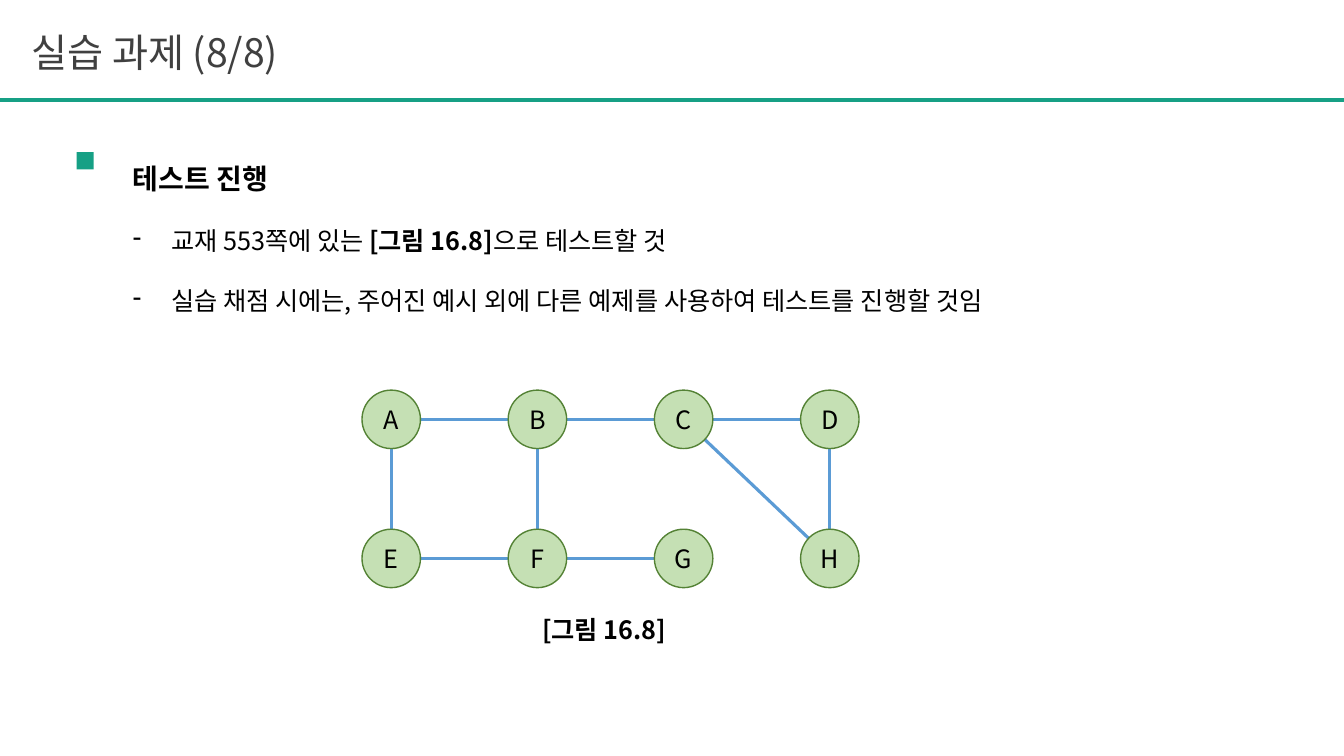
import math
from dataclasses import dataclass

from lxml import etree
from pptx import Presentation
from pptx import util as u
from pptx.dml.color import RGBColor
from pptx.enum import shapes, text
from pptx.oxml.ns import qn


@dataclass(frozen=True)
class Theme:
    """Colours, font and type sizes of the slide."""
    accent: str = "16A085"
    title: str = "404040"
    ink: str = "000000"
    node: str = "C5E0B4"
    node_rim: str = "548235"
    edge: str = "5B9BD5"
    font: str = "Noto Sans CJK KR"
    title_size: int = 28
    heading_size: int = 20
    body_size: int = 18


THEME = Theme()
WIDTH, HEIGHT = 13.33, 7.5


def add_run(paragraph, words, size=THEME.body_size, bold=False, color=THEME.ink):
    """Append one formatted run, with the font set for Latin and Korean."""
    run = paragraph.add_run()
    run.text = words
    run.font.size, run.font.bold, run.font.name = u.Pt(size), bold, THEME.font
    run.font.color.rgb = RGBColor.from_string(color)
    east_asian = etree.SubElement(run.font._element, qn("a:ea"))
    east_asian.set("typeface", THEME.font)


def add_line(start, end, color, weight):
    """Draw a shadowless straight line between two points in inches."""
    line = slide.shapes.add_connector(
        shapes.MSO_CONNECTOR.STRAIGHT, *(u.Inches(v) for v in (*start, *end)))
    line.line.color.rgb = RGBColor.from_string(color)
    line.line.width = u.Pt(weight)
    etree.SubElement(line._element.spPr, qn("a:effectLst"))


deck = Presentation()
deck.slide_width, deck.slide_height = u.Inches(WIDTH), u.Inches(HEIGHT)
slide = deck.slides.add_slide(deck.slide_layouts[5])

# Title and rule
title = slide.shapes.title
title.left, title.top = u.Inches(0.21), u.Inches(0.23)
title.width, title.height = u.Inches(10.15), u.Inches(0.57)
title.text_frame.vertical_anchor = text.MSO_ANCHOR.MIDDLE
heading = title.text_frame.paragraphs[0]
heading.alignment = text.PP_ALIGN.LEFT
add_run(heading, "실습 과제 (8/8)", THEME.title_size, color=THEME.title)
add_line((0, 0.99), (WIDTH, 0.99), THEME.accent, 3)

# Instructions
marker = slide.shapes.add_shape(
    shapes.MSO_SHAPE.RECTANGLE, *(u.Inches(v) for v in (0.76, 1.51, 0.17, 0.17)))
marker.shadow.inherit = False
marker.fill.solid()
marker.fill.fore_color.rgb = RGBColor.from_string(THEME.accent)
marker.line.fill.background()

instructions = slide.shapes.add_textbox(
    *(u.Inches(v) for v in (1.22, 1.21, 11.9, 1.99))).text_frame
instructions.word_wrap = True
topic = instructions.paragraphs[0]
topic.alignment = text.PP_ALIGN.JUSTIFY
topic.line_spacing = u.Pt(49)
add_run(topic, "테스트 진행", THEME.heading_size, bold=True)

tasks = [
    [("교재 553쪽에 있는 ", False), ("[그림 16.8]", True), ("으로 테스트할 것", False)],
    [("실습 채점 시에는, 주어진 예시 외에 다른 예제를 사용하여 테스트를 진행할 것임", False)],
]
for task in tasks:
    item = instructions.add_paragraph()
    item.alignment = text.PP_ALIGN.JUSTIFY
    item.line_spacing = u.Pt(43)
    properties = item._p.get_or_add_pPr()
    properties.set("marL", str(u.Inches(0.38)))
    properties.set("indent", str(u.Inches(-0.38)))
    etree.SubElement(properties, qn("a:buChar")).set("char", "-")
    for words, bold in task:
        add_run(item, words, bold=bold)

# Graph: nodes sit on a grid, edges run from rim to rim
LEFT, TOP = 3.88, 4.16
COLUMN, ROW, RADIUS = 1.45, 1.38, 0.29
centres = {
    name: (LEFT + column * COLUMN, TOP + row * ROW)
    for row, names in enumerate(("ABCD", "EFGH"))
    for column, name in enumerate(names)
}

for first, second in ("AB", "BC", "CD", "EF", "FG", "AE", "BF", "CH", "DH"):
    (x1, y1), (x2, y2) = centres[first], centres[second]
    share = RADIUS / math.dist((x1, y1), (x2, y2))
    dx, dy = (x2 - x1) * share, (y2 - y1) * share
    add_line((x1 + dx, y1 + dy), (x2 - dx, y2 - dy), THEME.edge, 2.25)

for name, (x, y) in centres.items():
    node = slide.shapes.add_shape(
        shapes.MSO_SHAPE.OVAL,
        *(u.Inches(v) for v in (x - RADIUS, y - RADIUS, 2 * RADIUS, 2 * RADIUS)))
    node.shadow.inherit = False
    node.fill.solid()
    node.fill.fore_color.rgb = RGBColor.from_string(THEME.node)
    node.line.color.rgb = RGBColor.from_string(THEME.node_rim)
    node.line.width = u.Pt(1)
    node.text_frame.vertical_anchor = text.MSO_ANCHOR.MIDDLE
    label = node.text_frame.paragraphs[0]
    label.alignment = text.PP_ALIGN.CENTER
    add_run(label, name)

# Caption
caption = slide.shapes.add_textbox(
    *(u.Inches(v) for v in (5.28, 6.05, 1.48, 0.4))).text_frame
caption.word_wrap = True
caption.paragraphs[0].line_spacing = u.Pt(21.5)
add_run(caption.paragraphs[0], "[그림 16.8]", bold=True)

deck.save("out.pptx")
